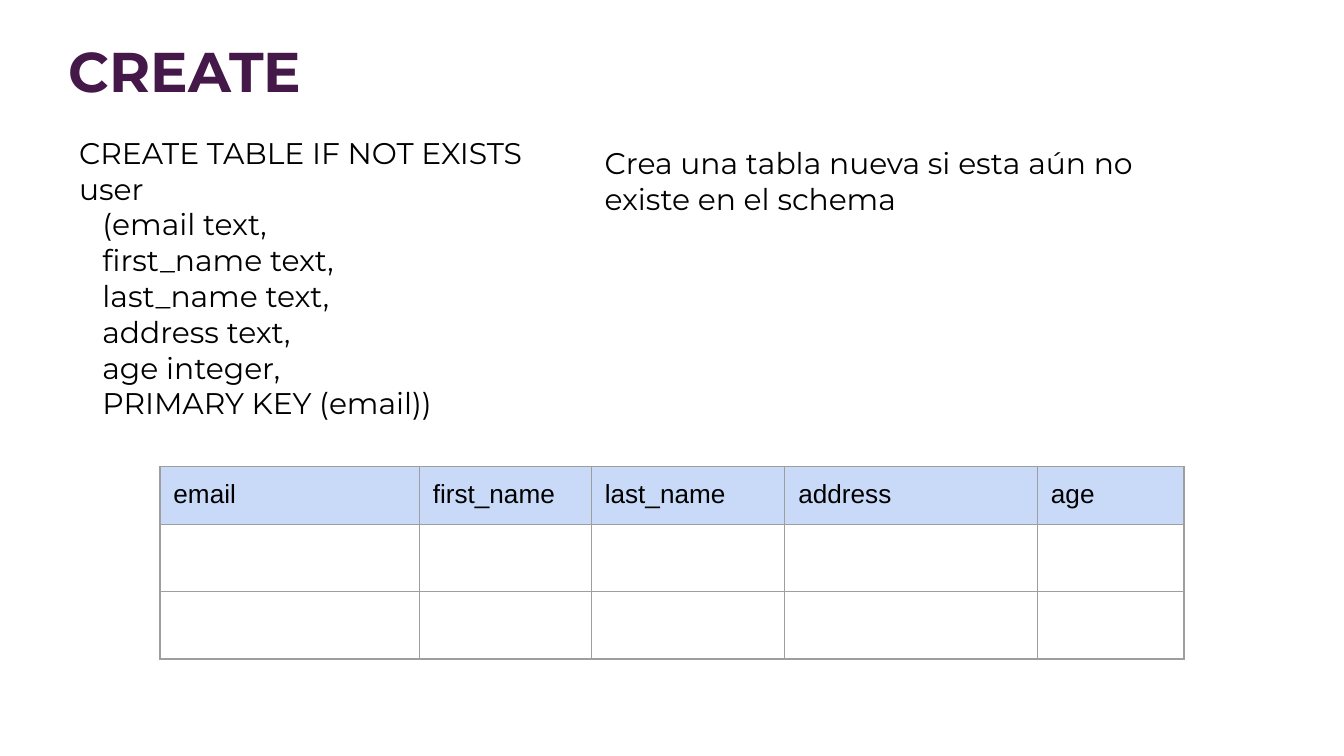
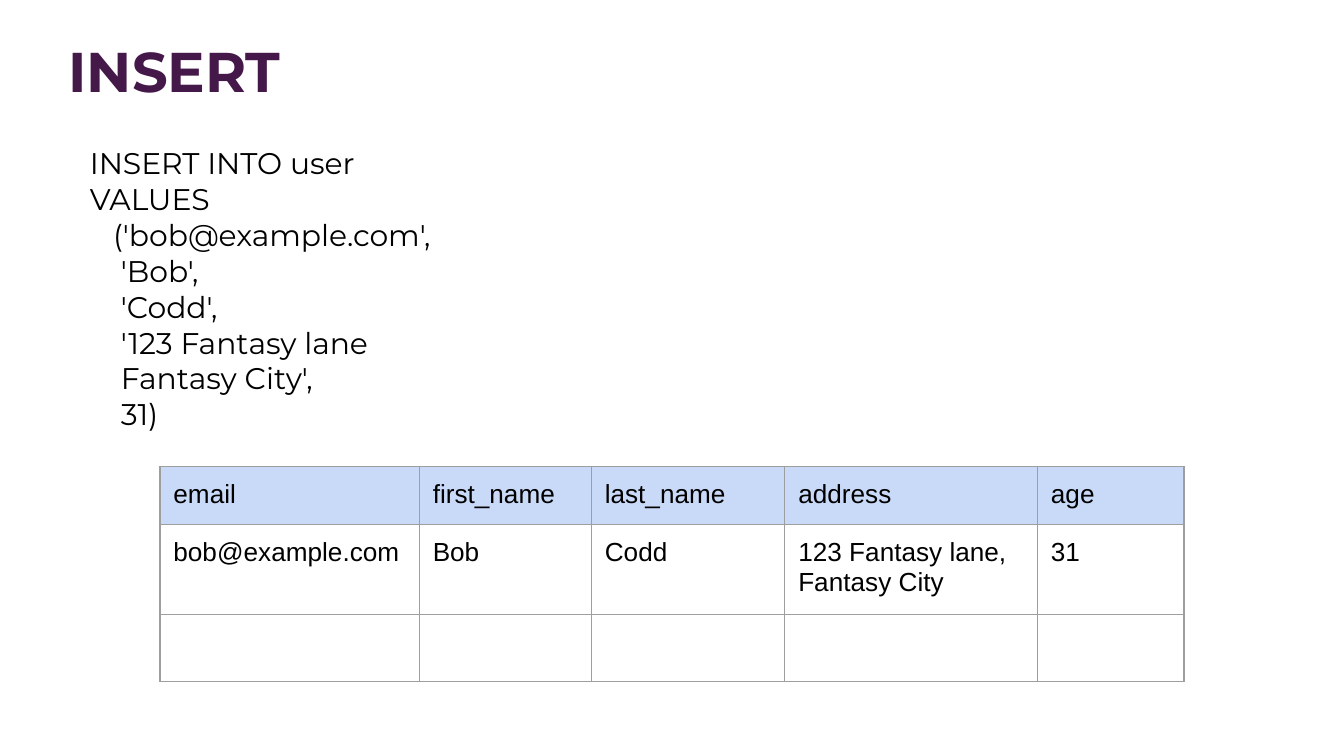
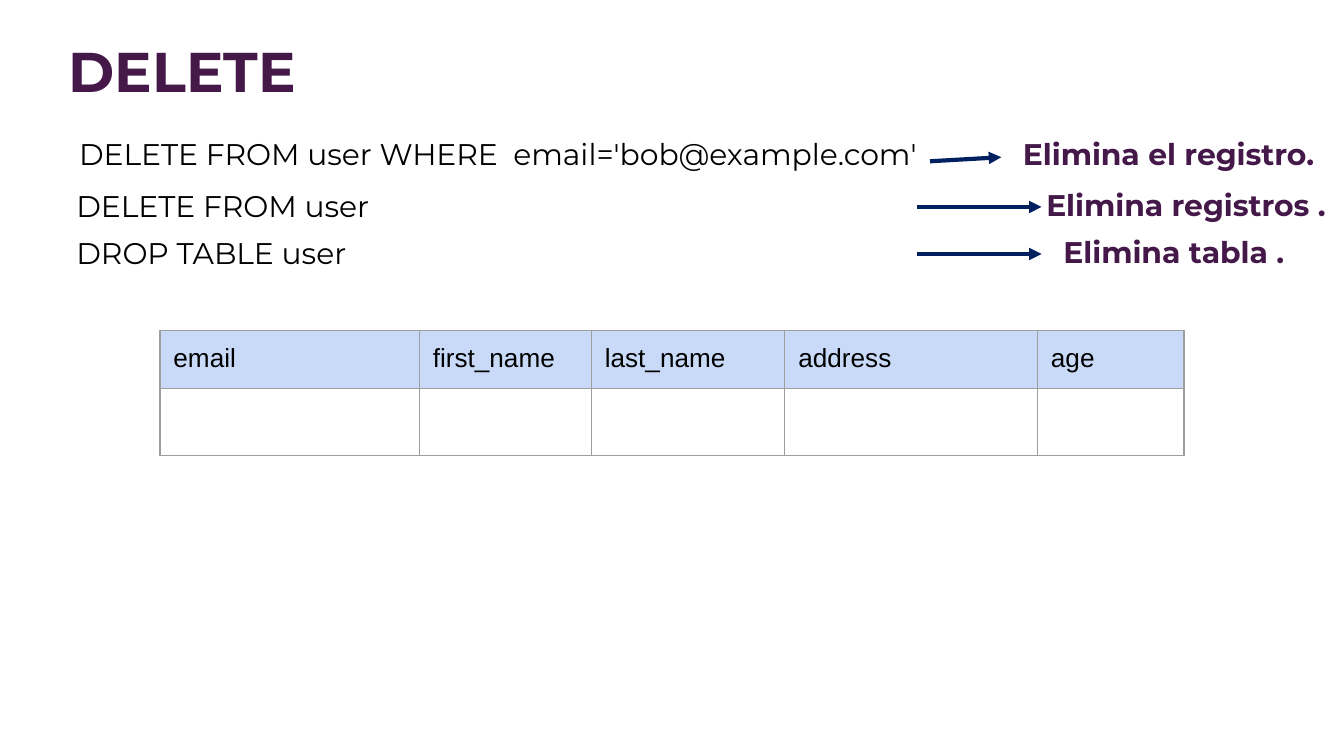
from lxml import etree
from pptx import Presentation
from pptx.dml.color import RGBColor
from pptx.enum.shapes import MSO_CONNECTOR
from pptx.enum.text import MSO_ANCHOR, MSO_AUTO_SIZE, PP_ALIGN
from pptx.oxml.ns import qn
from pptx.util import Inches, Pt

STRAIGHT = MSO_CONNECTOR.STRAIGHT
LEFT, CENTER = PP_ALIGN.LEFT, PP_ALIGN.CENTER
TOP = MSO_ANCHOR.TOP
NO_AUTOFIT = MSO_AUTO_SIZE.NONE

PURPLE, BLACK, NAVY = "441848", "000000", "002060"
HEADER_BLUE, BORDER_GRAY = "C9DAF8", "9E9E9E"
HEADING_FONT, TABLE_FONT = "Montserrat", "Arial"
TITLE_ONLY = 5
SLIDE_WIDTH = 10
INSET = 0.1

TABLE_LEFT = 1.19
COLUMN_WIDTHS = [1.93, 1.28, 1.44, 1.88, 1.09]
COLUMN_NAMES = ["email", "first_name", "last_name", "address", "age"]
EMPTY_ROW = [""] * len(COLUMN_NAMES)
BOB_ROW = ["bob@example.com", "Bob", "Codd", "123 Fantasy lane,\nFantasy City", "31"]
HEADER_HEIGHT, ROW_HEIGHT, TWO_LINE_HEIGHT = 0.43, 0.5, 0.67

CREATE_CODE = """CREATE TABLE IF NOT EXISTS
user
   (email text,
   first_name text,
   last_name text,
   address text,
   age integer,
   PRIMARY KEY (email))"""

INSERT_CODE = """INSERT INTO user
VALUES
   ('bob@example.com',
    'Bob',
    'Codd',
    '123 Fantasy lane
    Fantasy City',
    31)"""

STATEMENTS = [
    ("DELETE FROM user WHERE  email='bob@example.com'", (0.49, 0.91),
     "Elimina el registro.", (7.39, 0.91, 2.61), (6.92, 1.2, 7.45, 1.17)),
    ("DELETE FROM user", (0.47, 1.3),
     "Elimina registros .", (7.67, 1.29, 2.31), (6.82, 1.54, 7.75, 1.54)),
    ("DROP TABLE user", (0.47, 1.65),
     "Elimina tabla .", (7.58, 1.64, 2.31), (6.82, 1.89, 7.75, 1.89)),
]


def color(hex_value):
    """Turn a hex string into a colour."""
    return RGBColor.from_string(hex_value)


def write_text(frame, text, size, font_name, hex_value, bold=False, alignment=LEFT):
    """Fill a text frame with one formatted paragraph per line."""
    frame.word_wrap = True
    frame.vertical_anchor = TOP
    frame.margin_left = frame.margin_right = Inches(INSET)
    frame.margin_top = frame.margin_bottom = Inches(INSET)
    frame.text = text
    for paragraph in frame.paragraphs:
        paragraph.alignment = alignment
        paragraph.font.size = Pt(size)
        paragraph.font.name = font_name
        paragraph.font.bold = bold
        paragraph.font.color.rgb = color(hex_value)


def add_titled_slide(presentation, title):
    """Add a slide with the shared title style."""
    slide = presentation.slides.add_slide(presentation.slide_layouts[TITLE_ONLY])
    shape = slide.shapes.title
    shape.left, shape.top = Inches(0.41), Inches(0.17)
    shape.width, shape.height = Inches(9.38), Inches(0.59)
    write_text(shape.text_frame, title, 30, HEADING_FONT, PURPLE, bold=True)
    shape.text_frame.auto_size = NO_AUTOFIT
    return slide


def add_text(slide, box, text, hex_value=BLACK, bold=False, alignment=LEFT):
    """Add body text in the given box."""
    shape = slide.shapes.add_textbox(*map(Inches, box))
    write_text(shape.text_frame, text, 16, HEADING_FONT, hex_value, bold, alignment)


def add_arrow(slide, ends):
    """Draw a navy arrow between two points."""
    arrow = slide.shapes.add_connector(STRAIGHT, *map(Inches, ends))
    arrow.line.color.rgb = color(NAVY)
    arrow.line.width = Pt(2.25)
    etree.SubElement(arrow.line._get_or_add_ln(), qn("a:tailEnd"), type="triangle")
    etree.SubElement(arrow._element.spPr, qn("a:effectLst"))


def add_borders(cell):
    """Give a cell a thin gray line on each side."""
    properties = cell._tc.get_or_add_tcPr()
    for side in ("lnL", "lnR", "lnT", "lnB"):
        line = etree.SubElement(properties, qn(f"a:{side}"), w=str(Pt(0.75)))
        fill = etree.SubElement(line, qn("a:solidFill"))
        etree.SubElement(fill, qn("a:srgbClr"), val=BORDER_GRAY)


def add_user_table(slide, top, records):
    """Add the user table with its header and (values, height) records."""
    rows = [(COLUMN_NAMES, HEADER_HEIGHT)] + records
    width, height = sum(COLUMN_WIDTHS), sum(row_height for _, row_height in rows)
    table = slide.shapes.add_table(
        len(rows), len(COLUMN_NAMES), Inches(TABLE_LEFT), Inches(top),
        Inches(width), Inches(height)).table
    table.horz_banding = False
    for column, column_width in zip(table.columns, COLUMN_WIDTHS):
        column.width = Inches(column_width)
    for row_index, (values, row_height) in enumerate(rows):
        table.rows[row_index].height = Inches(row_height)
        for cell, value in zip(table.rows[row_index].cells, values):
            add_borders(cell)
            write_text(cell.text_frame, value, 14, TABLE_FONT, BLACK)
            cell.margin_left = cell.margin_right = Inches(INSET)
            cell.margin_top = cell.margin_bottom = Inches(INSET)
            if row_index == 0:
                cell.fill.solid()
                cell.fill.fore_color.rgb = color(HEADER_BLUE)
            else:
                cell.fill.background()


def add_statement(slide, code, code_position, effect, effect_box, arrow_ends):
    """Add a statement, its effect and the arrow between them."""
    height = 0.47
    add_text(slide, (*effect_box, height), effect, PURPLE, True, CENTER)
    add_text(slide, (*code_position, 8.71, height), code)
    add_arrow(slide, arrow_ends)


def build_create(presentation):
    """Build the slide on creating a table."""
    slide = add_titled_slide(presentation, "CREATE")
    add_text(slide, (0.49, 0.9, 4.09, 2.36), CREATE_CODE)
    add_user_table(slide, 3.47, [(EMPTY_ROW, ROW_HEIGHT)] * 2)
    add_text(slide, (4.4, 0.98, 4.78, 0.74),
             "Crea una tabla nueva si esta aún no existe en el schema")


def build_insert(presentation):
    """Build the slide on inserting a row."""
    slide = add_titled_slide(presentation, "INSERT")
    add_text(slide, (0.57, 0.98, 3.94, 2.36), INSERT_CODE)
    add_user_table(slide, 3.47, [(BOB_ROW, TWO_LINE_HEIGHT), (EMPTY_ROW, ROW_HEIGHT)])


def build_delete(presentation):
    """Build the slide on deleting rows and tables."""
    slide = add_titled_slide(presentation, "DELETE")
    add_user_table(slide, 2.46, [(EMPTY_ROW, ROW_HEIGHT)])
    for statement in STATEMENTS:
        add_statement(slide, *statement)


def main():
    """Build and save the presentation."""
    presentation = Presentation()
    presentation.slide_width = Inches(SLIDE_WIDTH)
    presentation.slide_height = Inches(SLIDE_WIDTH * 9 / 16)
    build_create(presentation)
    build_insert(presentation)
    build_delete(presentation)
    presentation.save("out.pptx")


if __name__ == "__main__":
    main()
